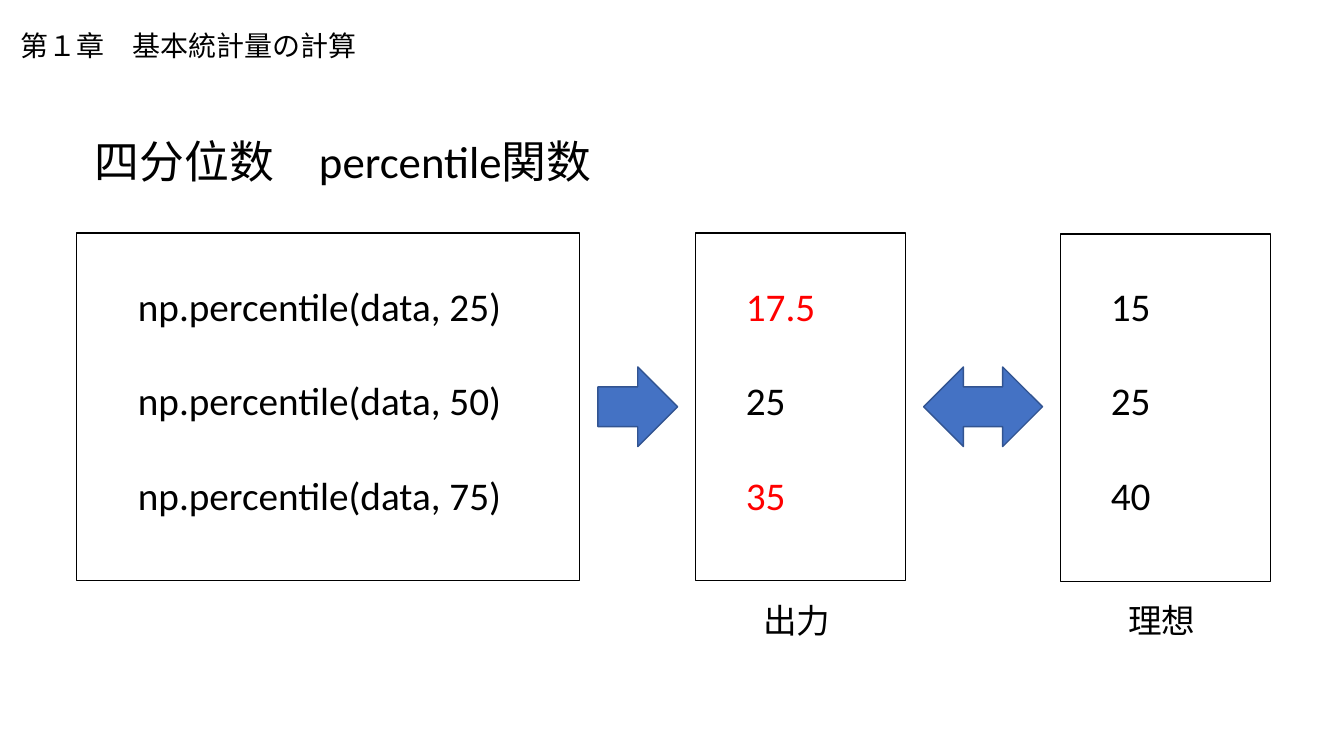
import pptx
import pptx.dml.color
import pptx.enum.shapes
import pptx.enum.text
import pptx.util
from pptx.util import Inches

BLACK, RED, BLUE, DARK_BLUE = "000000", "FF0000", "4472C4", "325491"
SHAPE = pptx.enum.shapes.MSO_SHAPE
ALIGN = pptx.enum.text.PP_ALIGN
ANCHOR = pptx.enum.text.MSO_ANCHOR

# Content
CHAPTER = "第１章　基本統計量の計算"
HEADING = "四分位数　percentile関数"
# Panels: left, top, width, text inset, text width, rows (text, colour), caption
PANELS = [
    (0.76, 2.31, 4.99, 0.51, 3.96,
     [(f"np.percentile(data, {rank})", BLACK) for rank in (25, 50, 75)], None),
    (6.9, 2.31, 2.08, 0.4, 1.33,
     [("17.5", RED), ("25", BLACK), ("35", RED)], "出力 "),
    (10.52, 2.32, 2.08, 0.4, 1.33,
     [("15", BLACK), ("25", BLACK), ("40", BLACK)], "理想 "),
]
# Arrows: preset, left, width
ARROWS = [(SHAPE.RIGHT_ARROW, 5.93, 0.79), (SHAPE.LEFT_RIGHT_ARROW, 9.16, 1.18)]

PANEL_HEIGHT = 3.45
ROWS_TOP, ROWS_HEIGHT, ROW_GAP = 2.75, 2.46, 34
CAPTION_TOP, CAPTION_WIDTH, CAPTION_HEIGHT = 5.9, 1.28, 0.5
ARROW_TOP, ARROW_HEIGHT = 3.64, 0.79

deck = pptx.Presentation()
deck.slide_width, deck.slide_height = Inches(13.33), Inches(7.5)
page = deck.slides.add_slide(deck.slide_layouts[6])


def colour(value):
    return pptx.dml.color.RGBColor.from_string(value)


def add_figure(preset, left, top, width, height, line, fill=None):
    figure = page.shapes.add_shape(
        preset, Inches(left), Inches(top), Inches(width), Inches(height))
    figure.shadow.inherit = False
    if fill:
        figure.fill.solid()
        figure.fill.fore_color.rgb = colour(fill)
    else:
        figure.fill.background()
    figure.line.color.rgb = colour(line)
    figure.line.width = pptx.util.Pt(1)


def add_text(left, top, width, height, rows, size, font="Calibri",
             align=ALIGN.LEFT, gap=0):
    box = page.shapes.add_textbox(
        Inches(left), Inches(top), Inches(width), Inches(height))
    frame = box.text_frame
    frame.word_wrap = True
    frame.text = "\n".join(text for text, _ in rows)
    for index, (para, (_, tint)) in enumerate(zip(frame.paragraphs, rows)):
        para.alignment = align
        para.space_before = pptx.util.Pt(gap if index else 0)
        for span in para.runs:
            span.font.name = font
            span.font.size = pptx.util.Pt(size)
            span.font.color.rgb = colour(tint)
    return frame


# Chapter title and heading
chapter_frame = add_text(0, 0, 11.5, 0.89, [(CHAPTER, BLACK)], 20, font="Arial")
chapter_frame.vertical_anchor = ANCHOR.MIDDLE
chapter_frame.margin_left = Inches(0.2)
add_text(0.84, 1.28, 7.19, 0.64, [(HEADING, BLACK)], 32)

# Panels with their rows and captions
for left, top, width, inset, text_width, rows, caption in PANELS:
    add_figure(SHAPE.RECTANGLE, left, top, width, PANEL_HEIGHT, BLACK)
    add_text(left + inset, ROWS_TOP, text_width, ROWS_HEIGHT, rows, 28, gap=ROW_GAP)
    if caption:
        add_text(left + inset, CAPTION_TOP, CAPTION_WIDTH, CAPTION_HEIGHT,
                 [(caption, BLACK)], 24, align=ALIGN.CENTER)

# Arrows between the panels
for preset, left, width in ARROWS:
    add_figure(preset, left, ARROW_TOP, width, ARROW_HEIGHT, DARK_BLUE, BLUE)

deck.save("out.pptx")
